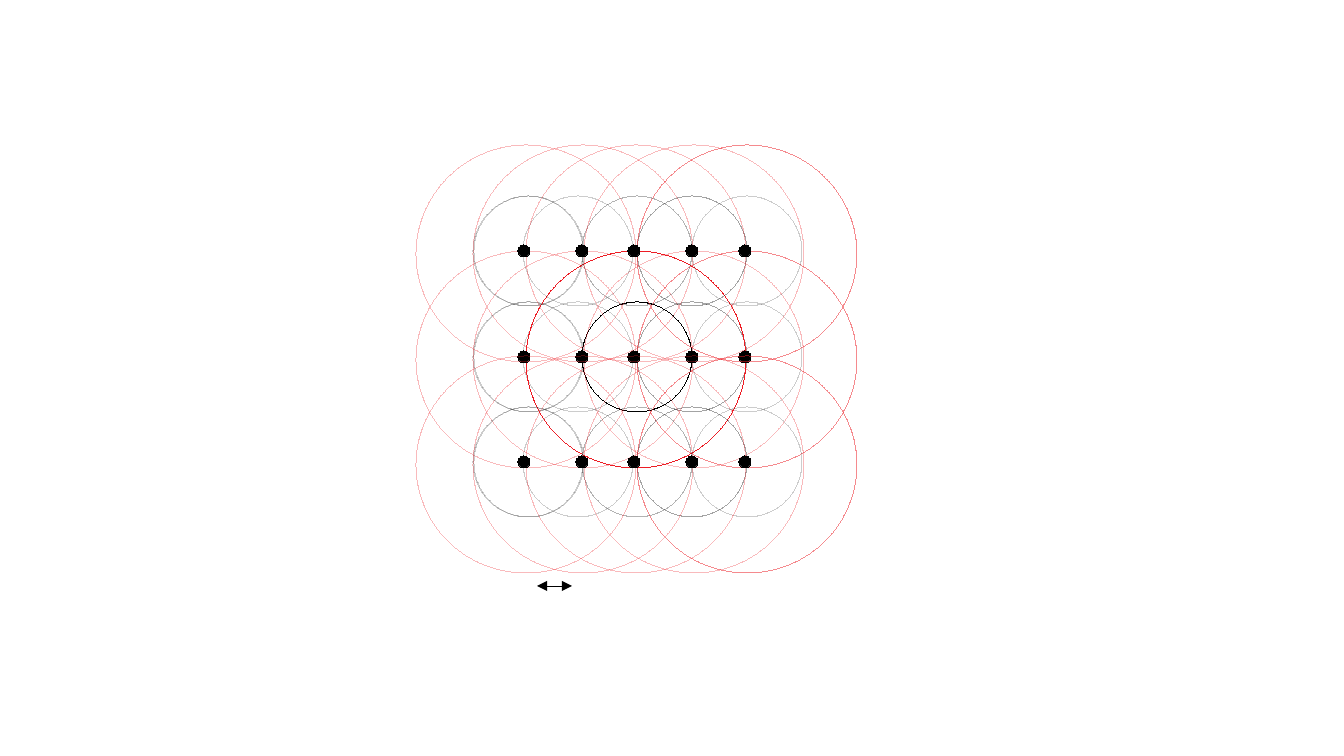
from dataclasses import dataclass

from lxml.etree import SubElement
from pptx import Presentation
from pptx.dml.color import RGBColor
from pptx.enum.shapes import MSO_CONNECTOR, MSO_SHAPE
from pptx.oxml.ns import qn
from pptx.util import Pt

SCALE = 7495  # EMU per px


@dataclass(frozen=True)
class Theme:
    black: RGBColor = RGBColor(0x00, 0x00, 0x00)
    red: RGBColor = RGBColor(0xED, 0x1C, 0x24)
    faint: int = 20
    soft: int = 30
    solid: int = 100
    arrow_width: int = Pt(0.5)


class Board:
    """Holds the theme and the slide being drawn."""

    def __init__(self, s, theme):
        self.s = s
        self.theme = theme

    def ellipse(self, x, y, w, h, color, opacity=100, filled=False):
        box = [v * SCALE for v in (x, y, w, h)]
        sp = self.s.shapes.add_shape(MSO_SHAPE.OVAL, *box)
        sp.shadow.inherit = False
        if filled:
            sp.fill.solid()
            sp.fill.fore_color.rgb = color
        else:
            sp.fill.background()
        sp.line.color.rgb = color
        ln = sp.line._get_or_add_ln()
        ln.set("w", "0")  # hairline
        if opacity < 100:
            clr = ln.find(".//" + qn("a:srgbClr"))
            SubElement(clr, qn("a:alpha")).set("val", str(opacity * 1000))

    def double_arrow(self, x1, x2, y):
        ends = [v * SCALE for v in (x1, y, x2, y)]
        line = self.s.shapes.add_connector(MSO_CONNECTOR.STRAIGHT, *ends)
        line.line.color.rgb = self.theme.black
        line.line.width = self.theme.arrow_width
        ln = line.line._get_or_add_ln()
        for end in ("a:headEnd", "a:tailEnd"):
            SubElement(ln, qn(end)).set("type", "triangle")
        SubElement(line._element.spPr, qn("a:effectLst"))


# Left edges; a repeated edge is a doubled, darker ring
SMALL_LEFTS = (637, 637, 692, 473, 474, 523, 582)
LARGE_LEFTS = (416, 473, 526, 584, 637, 637)
DOT_LEFTS = (518, 576, 628, 686, 739)
SMALL, LARGE_W, LARGE_H, DOT = 110, 220, 217, 12
MIDDLE, BOTTOM, TOP = 357, 462, 251


def draw_row(board, cy):
    t = board.theme
    focus = cy == MIDDLE  # the middle row has one solid ring of each size

    # Small black rings
    for x in SMALL_LEFTS:
        centre = x == SMALL_LEFTS[-1]
        opacity = t.faint if not centre else t.solid if focus else t.soft
        board.ellipse(x, cy - 55, SMALL, SMALL, t.black, opacity)

    # Large red rings
    for x in LARGE_LEFTS:
        opacity = t.solid if focus and x == LARGE_LEFTS[2] else t.soft
        board.ellipse(x, cy - 106, LARGE_W, LARGE_H, t.red, opacity)

    # Centre dots
    for x in DOT_LEFTS:
        board.ellipse(x, cy - DOT // 2, DOT, DOT, t.black, filled=True)


def main():
    prs = Presentation()
    prs.slide_width, prs.slide_height = 1344 * SCALE, 756 * SCALE
    board = Board(prs.slides.add_slide(prs.slide_layouts[6]), Theme())

    # Rows from back to front
    for cy in (MIDDLE, BOTTOM, TOP):
        draw_row(board, cy)

    # Spacing arrow
    board.double_arrow(537, 572, 586)

    prs.save("out.pptx")


if __name__ == "__main__":
    main()
